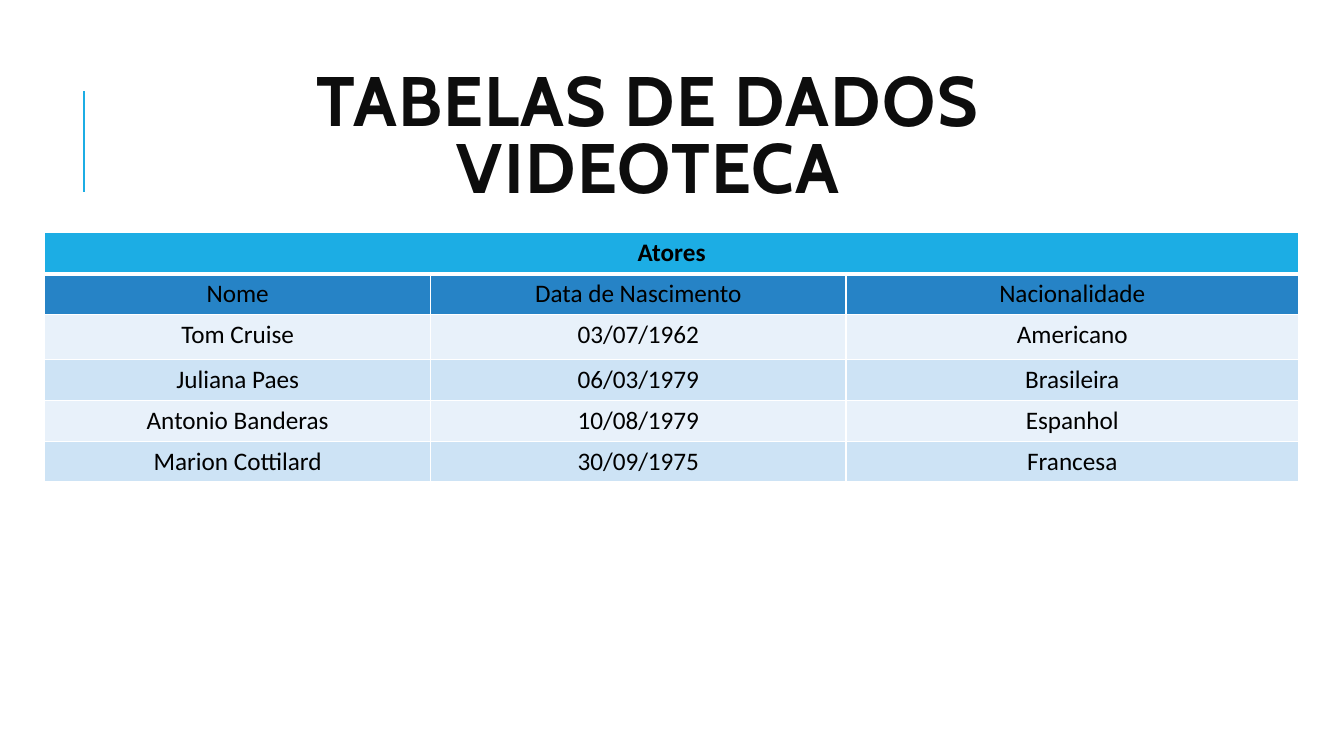
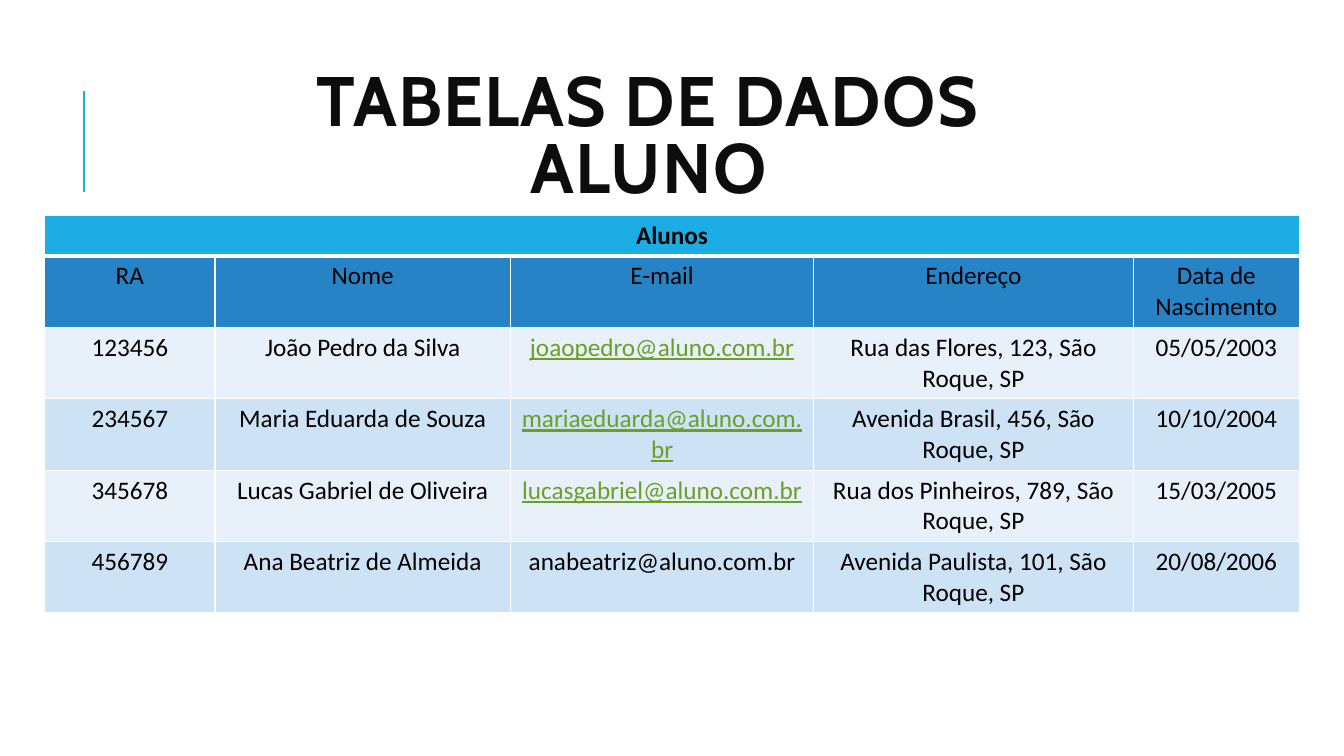
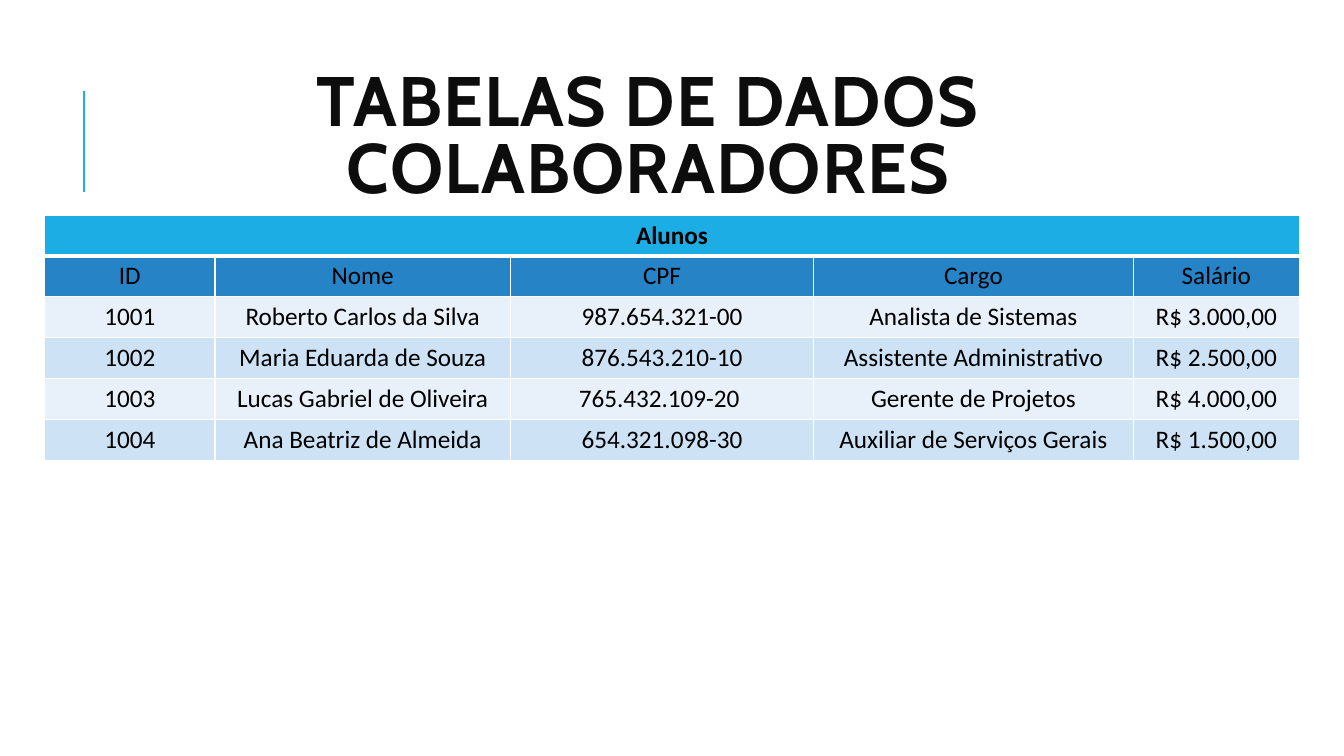
import dataclasses

import lxml.etree
import pptx
import pptx.dml.color
import pptx.enum.shapes
import pptx.enum.text
import pptx.oxml.ns
import pptx.util

Pt = pptx.util.Pt


@dataclasses.dataclass(frozen=True)
class Theme:
    title_font: str = "Cabin"
    body_font: str = "Calibri"
    title_size: float = 50
    body_size: float = 18
    title_color: str = "0D0D0D"
    text_color: str = "000000"
    link_color: str = "6B9F25"
    accent: str = "1CADE4"
    heading_fill: str = "2683C6"
    band_fills: tuple = ("E8F1FA", "CDE3F5")
    border_color: str = "FFFFFF"


theme = Theme()


def write_text(frame, text, font=theme.body_font, size=theme.body_size, color=theme.text_color,
               bold=False, underline=False, line_spacing=None, letter_spacing=None):
    paragraph = frame.paragraphs[0]
    paragraph.text = text
    paragraph.alignment = pptx.enum.text.PP_ALIGN.CENTER
    if line_spacing:
        paragraph.line_spacing = line_spacing
    for run in paragraph.runs:
        run.font.name = font
        run.font.size = Pt(size)
        run.font.color.rgb = pptx.dml.color.RGBColor.from_string(color)
        run.font.bold = bold
        run.font.underline = underline
        if letter_spacing:
            run.font._element.set("spc", str(int(letter_spacing * 100)))


def set_borders(cell, **widths):
    properties = cell._tc.get_or_add_tcPr()
    for side in "LRTB":
        line = lxml.etree.SubElement(properties, pptx.oxml.ns.qn(f"a:ln{side}"),
                                     w=str(Pt(widths.get(side, 1))))
        fill = lxml.etree.SubElement(line, pptx.oxml.ns.qn("a:solidFill"))
        lxml.etree.SubElement(fill, pptx.oxml.ns.qn("a:srgbClr"), val=theme.border_color)


# Content: the first row of each table holds the column headings
wide_columns = (121.7, 211, 216.7, 228.2, 118.8)
sections = [
    dict(
        title="VIDEOTECA", caption="Atores", top=166.3,
        columns=(275.8, 296.6, 323.3), heights=(29.2, 29.2, 32, 29.2, 29.2, 29.2), links=(),
        rows=[
            ("Nome", "Data de Nascimento", "Nacionalidade"),
            ("Tom Cruise", "03/07/1962", "Americano"),
            ("Juliana Paes", "06/03/1979", "Brasileira"),
            ("Antonio Banderas", "10/08/1979", "Espanhol"),
            ("Marion Cottilard", "30/09/1975", "Francesa"),
        ],
    ),
    dict(
        title="ALUNO", caption="Alunos", top=153.6,
        columns=wide_columns, heights=(29.2,) + (51,) * 5,
        links=("joaopedro@aluno.com.br", "mariaeduarda@aluno.com.br", "lucasgabriel@aluno.com.br"),
        rows=[
            ("RA", "Nome", "E-mail", "Endereço", "Data de Nascimento"),
            ("123456", "João Pedro da Silva", "joaopedro@aluno.com.br",
             "Rua das Flores, 123, São Roque, SP", "05/05/2003"),
            ("234567", "Maria Eduarda de Souza", "mariaeduarda@aluno.com.br",
             "Avenida Brasil, 456, São Roque, SP", "10/10/2004"),
            ("345678", "Lucas Gabriel de Oliveira", "lucasgabriel@aluno.com.br",
             "Rua dos Pinheiros, 789, São Roque, SP", "15/03/2005"),
            ("456789", "Ana Beatriz de Almeida", "anabeatriz@aluno.com.br",
             "Avenida Paulista, 101, São Roque, SP", "20/08/2006"),
        ],
    ),
    dict(
        title="COLABORADORES", caption="Alunos", top=153.6,
        columns=wide_columns, heights=(29.2,) * 6, links=(),
        rows=[
            ("ID", "Nome", "CPF", "Cargo", "Salário"),
            ("1001", "Roberto Carlos da Silva", "987.654.321-00",
             "Analista de Sistemas", "R$ 3.000,00"),
            ("1002", "Maria Eduarda de Souza", "876.543.210-10",
             "Assistente Administrativo", "R$ 2.500,00"),
            ("1003", "Lucas Gabriel de Oliveira", "765.432.109-20 ",
             "Gerente de Projetos", "R$ 4.000,00"),
            ("1004", "Ana Beatriz de Almeida", "654.321.098-30",
             "Auxiliar de Serviços Gerais", "R$ 1.500,00"),
        ],
    ),
]

presentation = pptx.Presentation()
presentation.slide_width = Pt(960)
presentation.slide_height = Pt(540)

for section in sections:
    slide = presentation.slides.add_slide(presentation.slide_layouts[6])

    # Accent line beside the title
    accent_line = slide.shapes.add_connector(
        pptx.enum.shapes.MSO_CONNECTOR.STRAIGHT, Pt(60), Pt(137), Pt(60), Pt(65))
    accent_line.line.color.rgb = pptx.dml.color.RGBColor.from_string(theme.accent)
    accent_line.line.width = Pt(1.5)
    lxml.etree.SubElement(accent_line._element.spPr, pptx.oxml.ns.qn("a:effectLst"))

    # Title
    title = slide.shapes.add_textbox(Pt(80.6), Pt(41), Pt(765.4), Pt(118))
    title.text_frame.word_wrap = True
    title.text_frame.vertical_anchor = pptx.enum.text.MSO_ANCHOR.MIDDLE
    write_text(title.text_frame, "TABELAS DE DADOS\n" + section["title"],
               font=theme.title_font, size=theme.title_size, color=theme.title_color,
               bold=True, line_spacing=0.8, letter_spacing=1)

    # Table grid
    columns, heights = section["columns"], section["heights"]
    table = slide.shapes.add_table(
        len(heights), len(columns), Pt(31.9), Pt(section["top"]),
        Pt(sum(columns)), Pt(sum(heights))).table
    table.first_row = False
    table.horz_banding = False
    for column, width in zip(table.columns, columns):
        column.width = Pt(width)
    for row, height in zip(table.rows, heights):
        row.height = Pt(height)

    # Caption row across all columns
    caption = table.cell(0, 0)
    caption.merge(table.cell(0, len(columns) - 1))
    write_text(caption.text_frame, section["caption"], bold=True)
    for cell in table.rows[0].cells:
        set_borders(cell, B=3)
        cell.fill.solid()
        cell.fill.fore_color.rgb = pptx.dml.color.RGBColor.from_string(theme.accent)

    # Heading row and banded data rows
    for row_index, values in enumerate(section["rows"], start=1):
        is_heading = row_index == 1
        fill = theme.heading_fill if is_heading else theme.band_fills[row_index % 2]
        for column_index, value in enumerate(values):
            cell = table.cell(row_index, column_index)
            is_link = value in section["links"]
            write_text(cell.text_frame, value, underline=is_link,
                       color=theme.link_color if is_link else theme.text_color)
            set_borders(cell, T=3 if is_heading else 1)
            cell.fill.solid()
            cell.fill.fore_color.rgb = pptx.dml.color.RGBColor.from_string(fill)

presentation.save("out.pptx")
